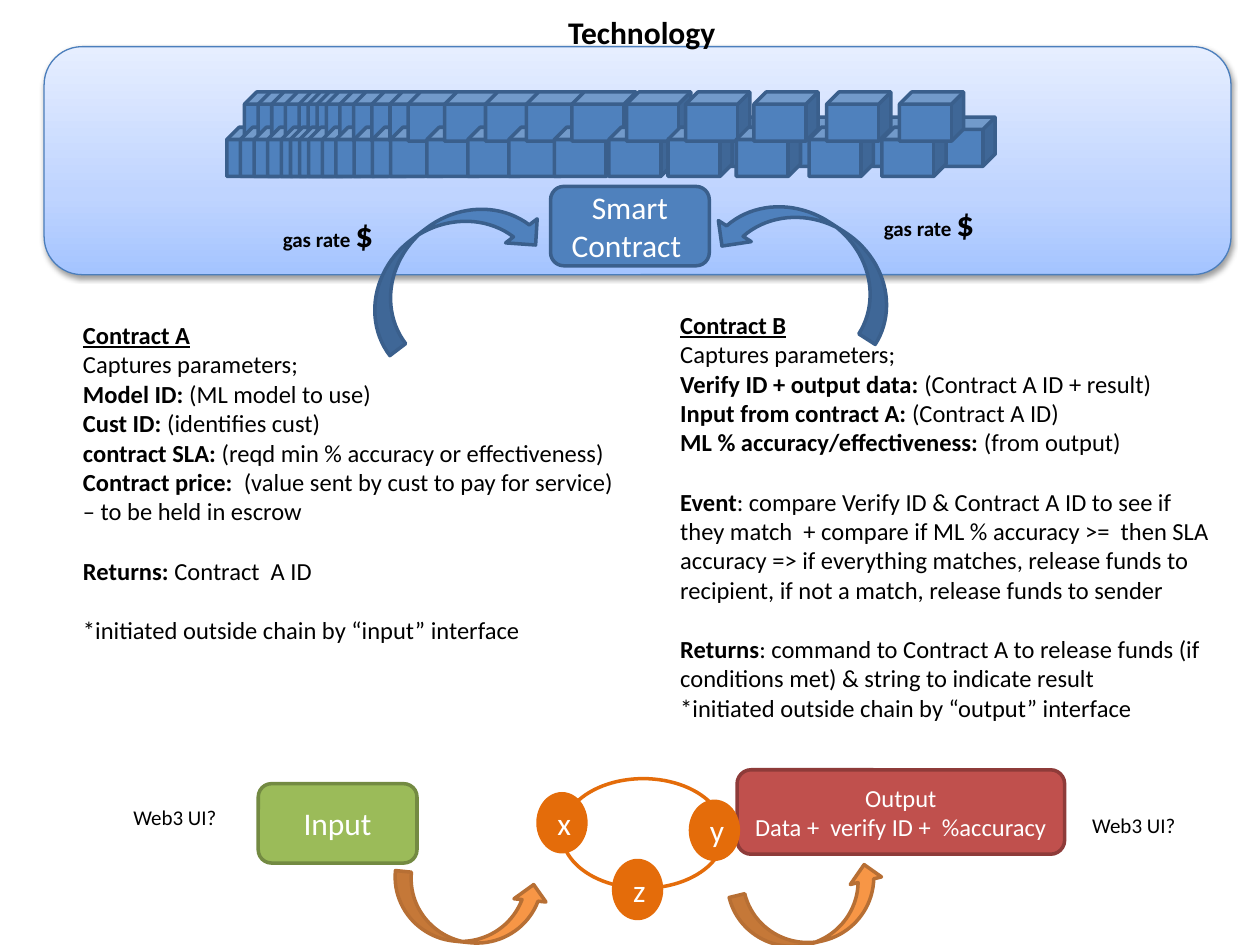
"""Build the smart contract technology slide."""
from dataclasses import dataclass
from itertools import accumulate
from typing import Optional

from lxml.etree import SubElement
from pptx import Presentation
from pptx.dml.color import RGBColor
from pptx.enum.shapes import MSO_SHAPE
from pptx.enum.text import MSO_ANCHOR, MSO_AUTO_SIZE, PP_ALIGN
from pptx.oxml.ns import qn
from pptx.util import Inches, Pt

FONT = "Calibri"
BLACK = RGBColor(0x00, 0x00, 0x00)
WHITE = RGBColor(0xFF, 0xFF, 0xFF)
BLUE = RGBColor(0x4F, 0x81, 0xBD)
BLUE_EDGE = RGBColor(0x3A, 0x5F, 0x8C)
PANEL_EDGE = RGBColor(0x4B, 0x7E, 0xBC)
RED = RGBColor(0xC0, 0x50, 0x4D)
RED_EDGE = RGBColor(0x8E, 0x3B, 0x39)
GREEN = RGBColor(0x9B, 0xBB, 0x59)
GREEN_EDGE = RGBColor(0x73, 0x8A, 0x42)
ORANGE = RGBColor(0xF7, 0x96, 0x46)
ORANGE_EDGE = RGBColor(0xB7, 0x6F, 0x34)
NODE = RGBColor(0xE4, 0x6C, 0x0A)
PANEL_STOPS = ((0, RGBColor(0xA4, 0xC4, 0xFF)), (35, RGBColor(0xBF, 0xD4, 0xFF)),
               (100, RGBColor(0xE6, 0xEE, 0xFF)))
LINE_GAP = 17
CUBE_STEP = 0.0361
CUBE_STEPS = (3, 3, 3, 3, 2, 2, 2, 3, 3, 4, 4, 4, 8, 9, 9, 10, 12, 13, 15, 16, 16)
CUBE_ROWS = ((2.19, 0.93), (1.80, 1.01), (1.94, 0.73))


@dataclass
class Run:
    text: str
    size: int = 14
    bold: bool = False
    underline: bool = False
    color: RGBColor = BLACK


@dataclass
class Para:
    runs: list[Run]
    gap: int = 0


@dataclass
class Block:
    kind: MSO_SHAPE
    at: tuple[float, float, float, float]
    fill: Optional[RGBColor]
    edge: RGBColor
    lines: tuple[str, ...] = ()
    size: int = 18
    rotation: float = 0
    edge_width: float = 2


@dataclass
class Label:
    at: tuple[float, float, float, float]
    paras: list[Para]
    align: PP_ALIGN = PP_ALIGN.LEFT


def write(tf, paras: list[Para], align: PP_ALIGN) -> None:
    tf.word_wrap = True
    for i, para in enumerate(paras):
        p = tf.paragraphs[0] if i == 0 else tf.add_paragraph()
        p.alignment = align
        p.space_before = Pt(para.gap)
        for run in para.runs:
            r = p.add_run()
            r.text = run.text
            r.font.name = FONT
            r.font.size = Pt(run.size)
            r.font.bold = run.bold
            r.font.underline = run.underline
            r.font.color.rgb = run.color


def add_block(shapes, block: Block):
    sp = shapes.add_shape(block.kind, *map(Inches, block.at))
    sp.shadow.inherit = False
    sp.rotation = block.rotation
    if block.fill is None:
        sp.fill.background()
    else:
        sp.fill.solid()
        sp.fill.fore_color.rgb = block.fill
    sp.line.color.rgb = block.edge
    sp.line.width = Pt(block.edge_width)
    if block.lines:
        sp.text_frame.vertical_anchor = MSO_ANCHOR.MIDDLE
        write(sp.text_frame, [Para([Run(t, block.size, color=WHITE)]) for t in block.lines],
              PP_ALIGN.CENTER)
    return sp


def add_label(shapes, label: Label) -> None:
    sp = shapes.add_textbox(*map(Inches, label.at))
    sp.text_frame.auto_size = MSO_AUTO_SIZE.SHAPE_TO_FIT_TEXT
    write(sp.text_frame, label.paras, label.align)


def add_panel(shapes) -> None:
    sp = add_block(shapes, Block(MSO_SHAPE.ROUNDED_RECTANGLE, (0.35, 0.37, 9.42, 1.81),
                                 BLUE, PANEL_EDGE, edge_width=0.75))
    sp.fill.gradient()
    sp.fill.gradient_angle = 90
    stops = sp.element.spPr.find(qn("a:gradFill")).find(qn("a:gsLst"))
    for stop in list(stops):
        stops.remove(stop)
    for share, color in PANEL_STOPS:
        stop = SubElement(stops, qn("a:gs"), pos=str(share * 1000))
        SubElement(stop, qn("a:srgbClr"), val=str(color))
    effects = sp.element.spPr.find(qn("a:effectLst"))
    shadow = SubElement(effects, qn("a:outerShdw"), blurRad=str(Pt(3.1)), dist=str(Pt(1.6)),
                        dir="5400000", rotWithShape="0")
    tint = SubElement(shadow, qn("a:srgbClr"), val=str(BLACK))
    SubElement(tint, qn("a:alpha"), val="38000")


def add_chain(shapes) -> None:
    spots = [(2.05, 0.87)]
    for offset in accumulate(CUBE_STEPS, initial=0):
        spots += [(x + offset * CUBE_STEP, y) for x, y in CUBE_ROWS]
    group = shapes.add_group_shape()
    for x, y in spots:
        add_block(group.shapes, Block(MSO_SHAPE.CUBE, (x, y, 0.51, 0.39), BLUE, BLUE_EDGE))


def add_loop(shapes) -> None:
    group = shapes.add_group_shape()
    add_block(group.shapes, Block(MSO_SHAPE.OVAL, (4.46, 6.18, 1.29, 0.87), None, NODE))
    for name, x, y in (("x", 4.27, 6.3), ("y", 5.48, 6.36), ("z", 4.87, 6.83)):
        add_block(group.shapes, Block(MSO_SHAPE.FLOWCHART_CONNECTOR, (x, y, 0.38, 0.46),
                                      NODE, NODE, (name,)))


def field(name: str, value: str, gap: int = 0) -> Para:
    return Para([Run(name, bold=True), Run(value)], gap)


def heading(text: str) -> Para:
    return Para([Run(text, bold=True, underline=True)])


def plain(text: str, gap: int = 0, size: int = 14) -> Para:
    return Para([Run(text, size)], gap)


ROUND = MSO_SHAPE.ROUNDED_RECTANGLE
RIGHT, LEFT = MSO_SHAPE.CURVED_RIGHT_ARROW, MSO_SHAPE.CURVED_LEFT_ARROW
BLOCKS = [
    Block(ROUND, (5.85, 6.11, 2.6, 0.67), RED, RED_EDGE,
          ("Output", "Data +  verify ID +  %accuracy"), 14),
    Block(RIGHT, (6.13, 1.24, 0.62, 1.6), BLUE, BLUE_EDGE, rotation=122.7),
    Block(ROUND, (4.37, 1.48, 1.26, 0.63), BLUE, BLUE_EDGE, ("Smart Contract ",)),
    Block(ROUND, (2.05, 6.22, 1.26, 0.63), GREEN, GREEN_EDGE, ("Input",)),
    Block(LEFT, (3.23, 1.28, 0.63, 1.61), BLUE, BLUE_EDGE, rotation=232.8),
    Block(RIGHT, (3.47, 6.61, 0.51, 1.23), ORANGE, ORANGE_EDGE, rotation=275.8),
    Block(RIGHT, (6.19, 6.61, 0.51, 1.23), ORANGE, ORANGE_EDGE, rotation=256.3),
]
GAS_RATE = [Para([Run("gas rate ", 12, True), Run("$", 20, True)])]
WEB_UI = [plain("Web3 UI?", size=12)]
CONTRACT_A = [
    heading("Contract A"),
    plain("Captures parameters;"),
    field("Model ID: ", "(ML model to use)"),
    field("Cust ID: ", "(identifies cust)"),
    field("contract SLA: ", "(reqd min % accuracy or effectiveness)"),
    field("Contract price:  ", "(value sent by cust to pay for service) – to be held in escrow"),
    field("Returns: ", "Contract  A ID", LINE_GAP),
    plain("*initiated outside chain by “input” interface", LINE_GAP),
]
CONTRACT_B = [
    heading("Contract B"),
    plain("Captures parameters;"),
    field("Verify ID + output data: ", "(Contract A ID + result)"),
    field("Input from contract A: ", "(Contract A ID)"),
    field("ML % accuracy/effectiveness: ", "(from output)"),
    field("Event", ": compare Verify ID & Contract A ID to see if they match  + compare if "
          "ML % accuracy >=  then SLA accuracy => if everything matches, release funds to "
          "recipient, if not a match, release funds to sender", LINE_GAP),
    field("Returns", ": command to Contract A to release funds (if conditions met) & string "
          "to indicate result", LINE_GAP),
    plain("*initiated outside chain by “output” interface"),
]
LABELS = [
    Label((-1.9, 1.64, 4.96, 0.44), GAS_RATE, PP_ALIGN.RIGHT),
    Label((2.87, 1.55, 4.96, 0.44), GAS_RATE, PP_ALIGN.RIGHT),
    Label((0.96, 6.34, 1.24, 0.3), WEB_UI),
    Label((8.57, 6.4, 1.24, 0.3), WEB_UI),
    Label((0.56, 2.49, 4.48, 2.69), CONTRACT_A),
    Label((5.3, 2.41, 4.48, 3.4), CONTRACT_B),
]

prs = Presentation()
prs.slide_width, prs.slide_height = Inches(10), Inches(7.5)
s = prs.slides.add_slide(prs.slide_layouts[5])
add_panel(s.shapes)
add_chain(s.shapes)
for block in BLOCKS:
    add_block(s.shapes, block)
add_loop(s.shapes)
for label in LABELS:
    add_label(s.shapes, label)
title = s.shapes.title
title.left, title.top, title.width, title.height = map(Inches, (4.41, 0.05, 3.04, 0.4))
title.text_frame.vertical_anchor = MSO_ANCHOR.TOP
title.text_frame.auto_size = MSO_AUTO_SIZE.NONE
write(title.text_frame, [Para([Run("Technology", 18, True)])], PP_ALIGN.LEFT)
title.element.getparent().append(title.element)
prs.save("out.pptx")
